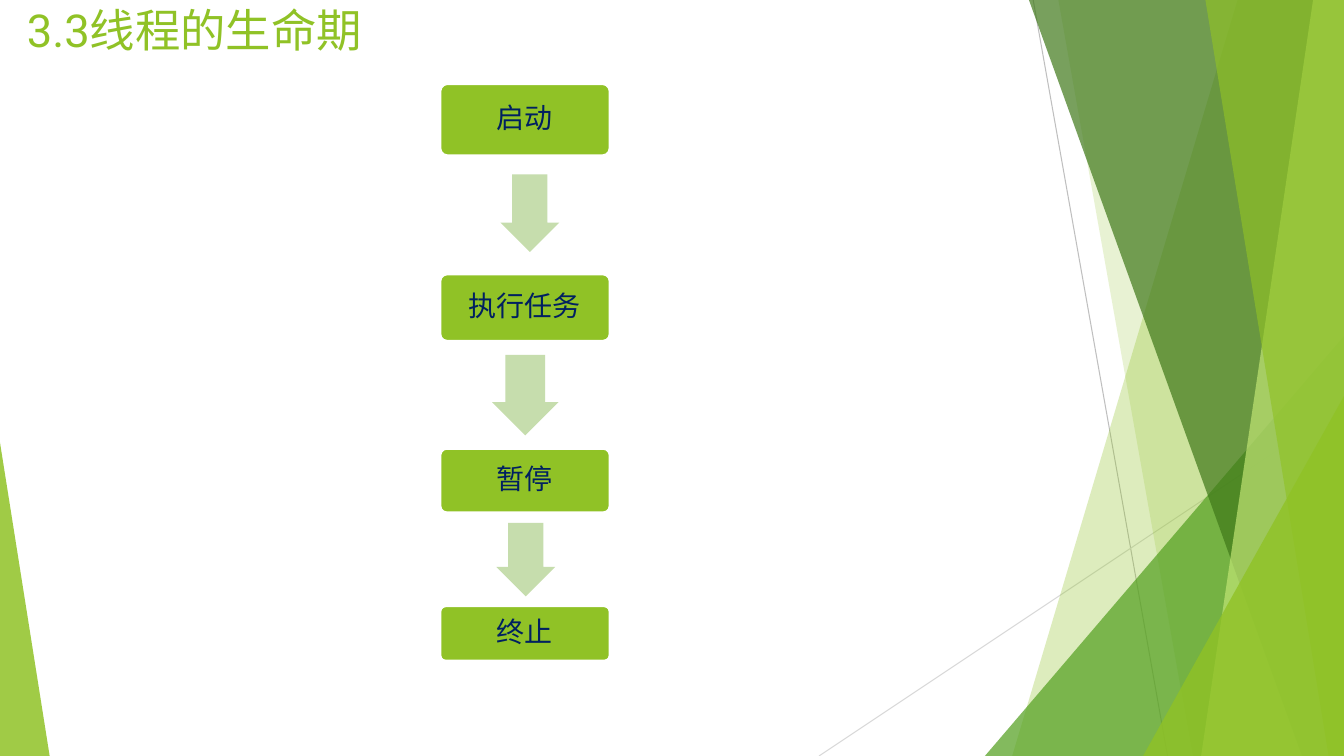
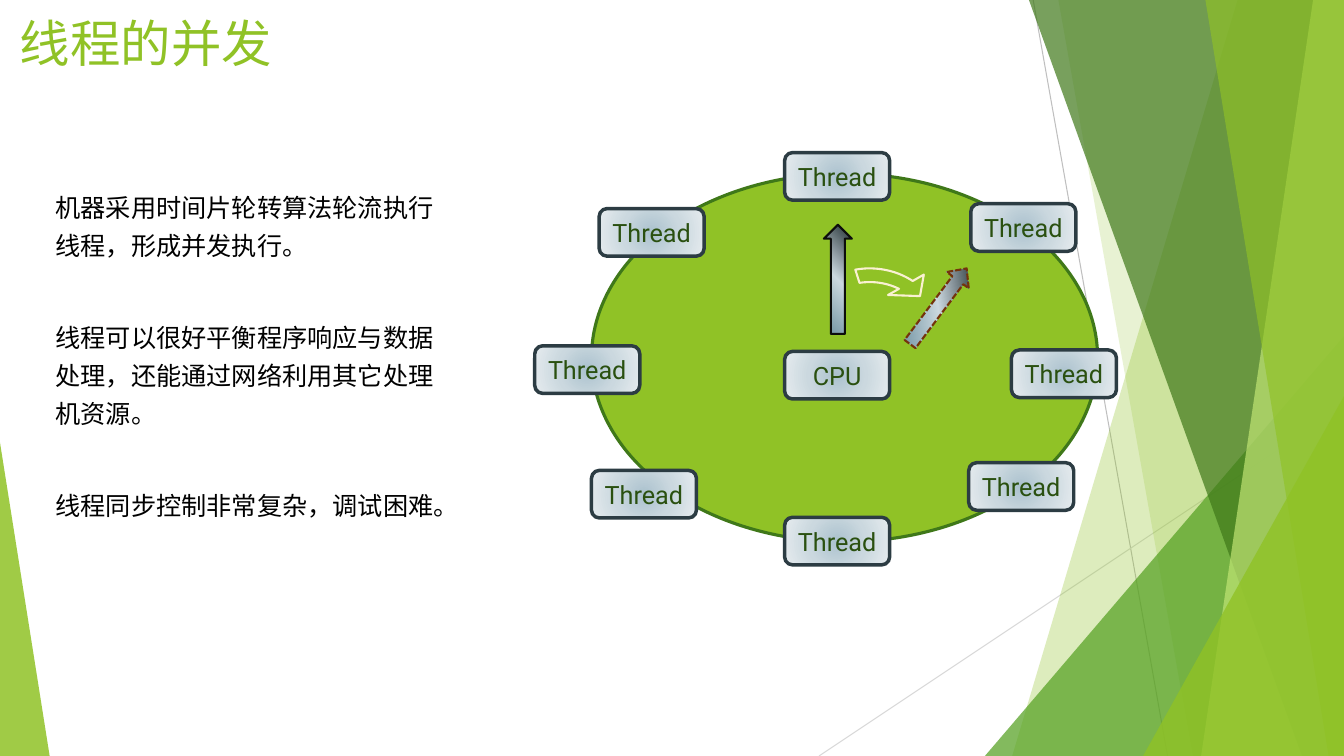
from lxml.etree import SubElement
from pptx import Presentation
from pptx.dml.color import RGBColor
from pptx.enum.dml import MSO_LINE
from pptx.enum.shapes import MSO_CONNECTOR, MSO_SHAPE
from pptx.enum.text import MSO_ANCHOR, MSO_AUTO_SIZE, PP_ALIGN
from pptx.oxml.ns import qn
from pptx.util import Pt

WIDE, HIGH = 960, 540
LIME, LEAF, MOSS, PALE = "90C226", "54A021", "3F7819", "C0E474"
LATIN, HAN = "Roboto", "Noto Sans CJK SC"
METAL = [(0, "6E91A0"), (50, "CBD8DF"), (100, "212D32")]
STEEL = [(0, "ABC2CE"), (50, "CBD8DF"), (100, "E6ECEF")]


def hue(code):
    """Turn a hex string into a colour."""
    return RGBColor.from_string(code)


def points(*sizes):
    """Turn numbers into lengths in points."""
    return [Pt(size) for size in sizes]


def place(shape, box):
    """Move a shape to a box."""
    shape.left, shape.top, shape.width, shape.height = points(*box)


def paint(shape, fill, line=None, width=1.5, alpha=None):
    """Set a flat fill and an outline, without shadow."""
    shape.shadow.inherit = False
    shape.fill.solid()
    shape.fill.fore_color.rgb = hue(fill)
    if alpha:
        tint = shape.element.spPr.find(qn("a:solidFill"))[0]
        SubElement(tint, qn("a:alpha"), val=str(alpha * 1000))
    if line:
        shape.line.color.rgb = hue(line)
        shape.line.width = Pt(width)
    else:
        shape.line.fill.background()


def blend(shape, stops, angle=None):
    """Set a linear gradient, or a round one if no angle is given."""
    shape.fill.gradient()
    grad = shape.element.spPr.find(qn("a:gradFill"))
    for child in list(grad):
        grad.remove(child)
    items = SubElement(grad, qn("a:gsLst"))
    for spot, code in stops:
        stop = SubElement(items, qn("a:gs"), pos=str(spot * 1000))
        SubElement(stop, qn("a:srgbClr"), val=code)
    if angle is None:
        core = SubElement(grad, qn("a:path"), path="circle")
        SubElement(core, qn("a:fillToRect"),
                   **{side: "50000" for side in "ltrb"})
    else:
        SubElement(grad, qn("a:lin"), ang=str(angle * 60000), scaled="0")


def draw(shapes, kind, box, fill, adjust=(), **style):
    """Add a preset shape."""
    shape = shapes.add_shape(kind, *points(*box))
    for index, value in enumerate(adjust):
        shape.adjustments[index] = value
    paint(shape, fill, **style)
    return shape


def write(frame, *texts, size=18, color="000000", font=LATIN, space=1.0,
          after=0, align=PP_ALIGN.LEFT, anchor=MSO_ANCHOR.TOP, wrap=True):
    """Write one paragraph for each text, without bullets."""
    frame.auto_size = MSO_AUTO_SIZE.NONE
    frame.word_wrap = wrap
    frame.vertical_anchor = anchor
    for index, text in enumerate(texts):
        para = frame.add_paragraph() if index else frame.paragraphs[0]
        para.alignment = align
        para.line_spacing = space
        para.space_before, para.space_after = points(0, after)
        props = para._p.get_or_add_pPr()
        props.set("marL", "0")
        props.set("indent", "0")
        SubElement(props, qn("a:buNone"))
        run = para.add_run()
        run.text = text
        run.font.size = Pt(size)
        run.font.color.rgb = hue(color)
        run.font.name = font
        SubElement(run.font._element, qn("a:ea"), typeface=HAN)


def rule(shapes, ends, color):
    """Add a thin line."""
    line = shapes.add_connector(MSO_CONNECTOR.STRAIGHT, *points(*ends))
    line.line.color.rgb = hue(color)
    line.line.width = Pt(0.75)
    SubElement(line.element.spPr, qn("a:effectLst"))


def band(shapes, head, foot, color, alpha):
    """Add a band from a slanted edge to the right side."""
    path = shapes.build_freeform(head, 0, scale=Pt(1))
    path.add_line_segments([(WIDE, 0), (WIDE, HIGH), (foot, HIGH)])
    paint(path.convert_to_shape(), color, alpha=alpha)


def wedge(shapes, left, top, width, peak, color, alpha):
    """Add a triangle that stands on the bottom edge."""
    draw(shapes, MSO_SHAPE.ISOSCELES_TRIANGLE,
         (left, top, width, HIGH - top), color, [peak], alpha=alpha)


def scene(deck, slide):
    """Draw the shared background and move it to the master."""
    group = slide.shapes.add_group_shape()
    shapes = group.shapes
    rule(shapes, (738, 0, 834, HIGH), "BFBFBF")
    rule(shapes, (WIDE, 290, 585, HIGH), "D9D9D9")
    band(shapes, 884, 723, LIME, 30)
    band(shapes, 756, 852, LIME, 20)
    wedge(shapes, 703.5, 240, 256.5, 1, LEAF, 72)
    band(shapes, 735, 929.5, MOSS, 70)
    band(shapes, 938, 858, PALE, 70)
    band(shapes, 861, 949, LIME, 65)
    wedge(shapes, 816.5, 283, 143.5, 1, LIME, 80)
    wedge(shapes, 0, 316, 35.5, 0, LIME, 85)
    for number, node in enumerate(group.element.xpath(".//p:cNvPr"), 100):
        node.set("id", str(number))
    deck.slide_master.shapes.element.insert(2, group.element)


def title(slide, text, box, size):
    """Fill the title placeholder."""
    place(slide.shapes.title, box)
    write(slide.shapes.title.text_frame, text, size=size, color=LIME,
          space=0.9)


def flow(shapes, left, top, width):
    """Draw the steps of a thread's life and the arrows between them."""
    steps = [("启动", 0, 51), ("执行任务", 136, 47.5),
             ("暂停", 260.5, 45.5), ("终止", 373, 39)]
    arrows = [(43, 64.5, 42, 55.5), (37, 193.5, 47.5, 57.5),
              (40, 313.5, 42, 52.5)]
    for text, down, height in steps:
        card = draw(shapes, MSO_SHAPE.ROUNDED_RECTANGLE,
                    (left, top + down, width, height), LIME, [0.1],
                    line="FFFFFF")
        write(card.text_frame, text, size=20, color="002060", font=HAN,
              space=0.9, align=PP_ALIGN.CENTER, anchor=MSO_ANCHOR.MIDDLE)
    for across, down, wide, high in arrows:
        draw(shapes, MSO_SHAPE.DOWN_ARROW,
             (left + across, top + down, wide, high), "C6DDAD", [0.6, 0.5])


def node(shapes, text, left, top):
    """Draw one metal label of the ring."""
    label = draw(shapes, MSO_SHAPE.ROUNDED_RECTANGLE, (left, top, 75, 34),
                 "CBD8DF", line="2C3C43", width=2.5)
    blend(label, STEEL)
    write(label.text_frame, text, color="2A5010", align=PP_ALIGN.CENTER,
          anchor=MSO_ANCHOR.MIDDLE, wrap=False)


def ring(shapes, left, top, width, height):
    """Draw the threads that take turns around the processor."""
    spots = [(138, -15), (271, 21.5), (300, 126), (269.5, 206.5),
             (138, 245.5), (0, 212), (-40.5, 123), (5.5, 25)]
    draw(shapes, MSO_SHAPE.OVAL, (left, top, width, height), LIME,
         line=MOSS, width=2.25)
    hand = draw(shapes, MSO_SHAPE.UP_ARROW, (left + 166, top + 36.5, 20, 78),
                "CBD8DF", line="0D0D0D")
    ghost = draw(shapes, MSO_SHAPE.UP_ARROW,
                 (left + 238, top + 61, 19.5, 67.5), "CBD8DF", [0.5, 0.54],
                 line="74330C")
    ghost.rotation = 36.8
    ghost.line.dash_style = MSO_LINE.SQUARE_DOT
    for arrow in (hand, ghost):
        blend(arrow, METAL, 315)
    swirl = draw(shapes, MSO_SHAPE.CIRCULAR_ARROW,
                 (left + 143, top + 58, 115, 98), LIME,
                 [0.1, 11.475, 183.419, 148.226, 0.15], line="FAF1D2")
    swirl.rotation = 5.5
    node(shapes, "CPU", left + 138, top + 127)
    for across, down in spots:
        node(shapes, "Thread", left + across, top + down)


def notes(slide, box):
    """Fill the body placeholder with the remarks on threads."""
    body = slide.placeholders[1]
    place(body, box)
    write(body.text_frame,
          "机器采用时间片轮转算法轮流执行线程，形成并发执行。",
          "线程可以很好平衡程序响应与数据处理，还能通过网络利用其它处理机资源。",
          "线程同步控制非常复杂，调试困难。",
          font=HAN, space=Pt(27.1), after=38.5)


def main():
    """Build both slides and save them."""
    deck = Presentation()
    deck.slide_width, deck.slide_height = points(WIDE, HIGH)
    life = deck.slides.add_slide(deck.slide_layouts[5])
    scene(deck, life)
    title(life, "3.3线程的生命期", (12, 2, 274, 58), 32.4)
    flow(life.shapes, 314.5, 60, 121)
    turns = deck.slides.add_slide(deck.slide_layouts[1])
    ring(turns.shapes, 422.5, 124, 361.5, 263)
    title(turns, "线程的并发", (7, 10, 306, 53), 36)
    notes(turns, (32.5, 128.5, 302, 250))
    deck.save("out.pptx")


if __name__ == "__main__":
    main()
